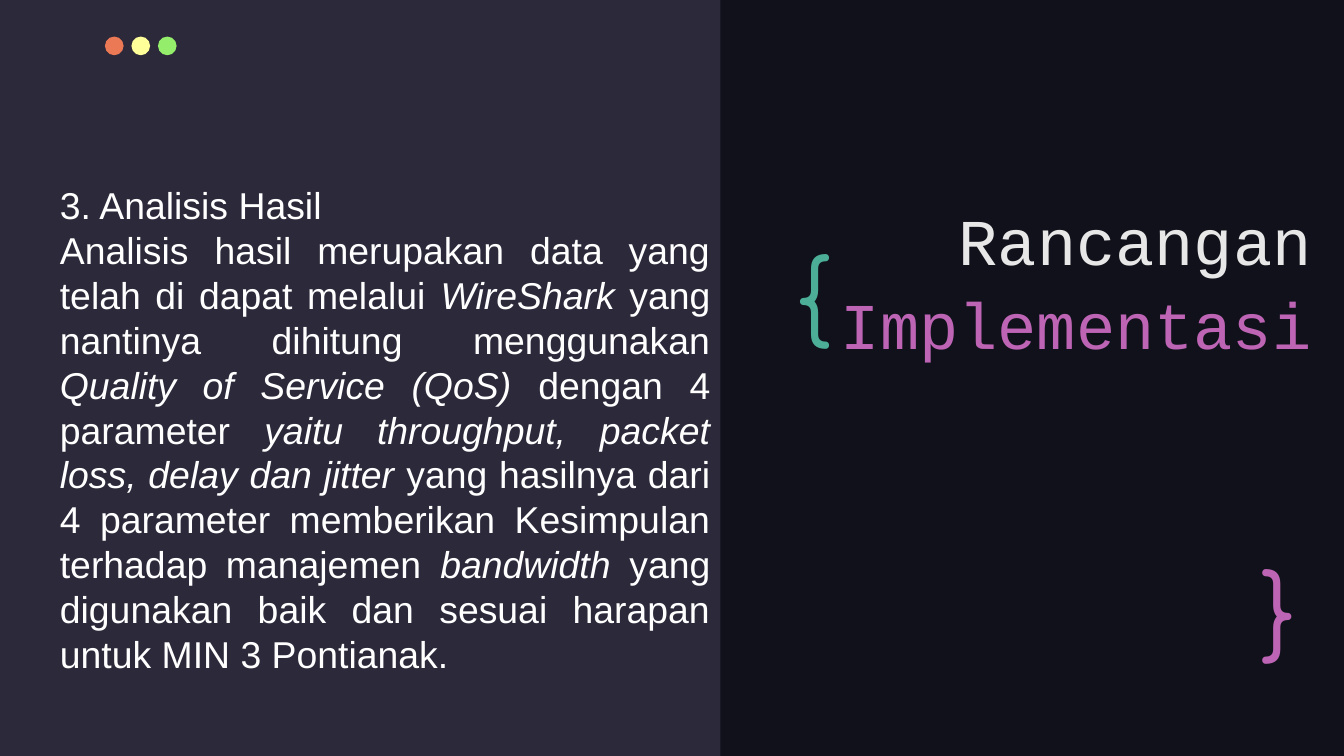
from dataclasses import dataclass

from pptx import Presentation
from pptx.dml.color import RGBColor
from pptx.enum.shapes import MSO_SHAPE
from pptx.enum.text import MSO_ANCHOR, MSO_AUTO_SIZE, PP_ALIGN
from pptx.util import Pt


@dataclass(frozen=True)
class Theme:
    background: str = "10111A"
    panel: str = "2C293A"
    orange: str = "EC7955"
    yellow: str = "FFFF99"
    green: str = "94EE6B"
    teal: str = "4CAE97"
    purple: str = "BD64B5"
    light: str = "E7E7E7"
    white: str = "FFFFFF"
    brace_size: int = 50
    title_size: int = 35
    body_size: int = 20


theme = Theme()


def add_filled(kind, left, top, width, height, color):
    sp = s.shapes.add_shape(kind, Pt(left), Pt(top), Pt(width), Pt(height))
    sp.shadow.inherit = False
    sp.fill.solid()
    sp.fill.fore_color.rgb = RGBColor.from_string(color)
    sp.line.fill.background()


def set_font(font, name, size, color):
    font.name = name
    font.size = Pt(size)
    font.color.rgb = RGBColor.from_string(color)


prs = Presentation()
prs.slide_width, prs.slide_height = Pt(720), Pt(405)
s = prs.slides.add_slide(prs.slide_layouts[5])
s.background.fill.solid()
s.background.fill.fore_color.rgb = RGBColor.from_string(theme.background)

# Left panel with window buttons
add_filled(MSO_SHAPE.RECTANGLE, 0, 0, 386, 405, theme.panel)
for i, color in enumerate((theme.orange, theme.yellow, theme.green)):
    add_filled(MSO_SHAPE.OVAL, 56.2 + 14.2 * i, 19.6, 10, 10, color)

# Braces
for brace, left, top, width, height, color, anchor in (
    ("{", 419, 118, 55.5, 68.5, theme.teal, MSO_ANCHOR.TOP),
    ("}", 669, 294, 41, 60, theme.purple, MSO_ANCHOR.MIDDLE),
):
    tf = s.shapes.add_textbox(Pt(left), Pt(top), Pt(width), Pt(height)).text_frame
    tf.word_wrap = True
    tf.vertical_anchor = anchor
    tf.margin_left = tf.margin_top = tf.margin_right = tf.margin_bottom = Pt(7.2)
    p = tf.paragraphs[0]
    p.text = brace
    set_font(p.font, "Comfortaa", theme.brace_size, color)

# Body: (text, italic) runs in each paragraph
body = (
    (("3. Analisis Hasil", False),),
    (
        ("Analisis hasil merupakan data yang telah di dapat melalui ", False),
        ("WireShark", True),
        (" yang nantinya dihitung menggunakan ", False),
        ("Quality of Service (QoS) ", True),
        ("dengan 4 parameter ", False),
        ("yaitu throughput, packet loss, delay dan jitter ", True),
        ("yang hasilnya dari 4 parameter memberikan Kesimpulan terhadap manajemen ", False),
        ("bandwidth", True),
        (" yang digunakan baik dan sesuai harapan untuk MIN 3 Pontianak.", False),
    ),
)
tf = s.shapes.add_textbox(Pt(25), Pt(94.3), Pt(362.7), Pt(273.6)).text_frame
tf.word_wrap = True
tf.auto_size = MSO_AUTO_SIZE.SHAPE_TO_FIT_TEXT
for i, runs in enumerate(body):
    p = tf.add_paragraph() if i else tf.paragraphs[0]
    p.alignment = PP_ALIGN.JUSTIFY
    set_font(p.font, "Arial", theme.body_size, theme.white)
    for text, italic in runs:
        r = p.add_run()
        r.text = text
        if italic:
            r.font.italic = True

# Title
title = s.shapes.title
title.left, title.top, title.width, title.height = Pt(381), Pt(118), Pt(329), Pt(83.5)
tf = title.text_frame
tf.word_wrap = True
tf.auto_size = MSO_AUTO_SIZE.NONE
tf.vertical_anchor = MSO_ANCHOR.BOTTOM
tf.margin_left = tf.margin_top = tf.margin_right = tf.margin_bottom = Pt(7.2)
p = tf.paragraphs[0]
p.alignment = PP_ALIGN.RIGHT
p.line_spacing = 1.07
for text, color in (("Rancangan ", theme.light), ("Implementasi", theme.purple)):
    r = p.add_run()
    r.text = text
    set_font(r.font, "Courier New", theme.title_size, color)

prs.save("out.pptx")
